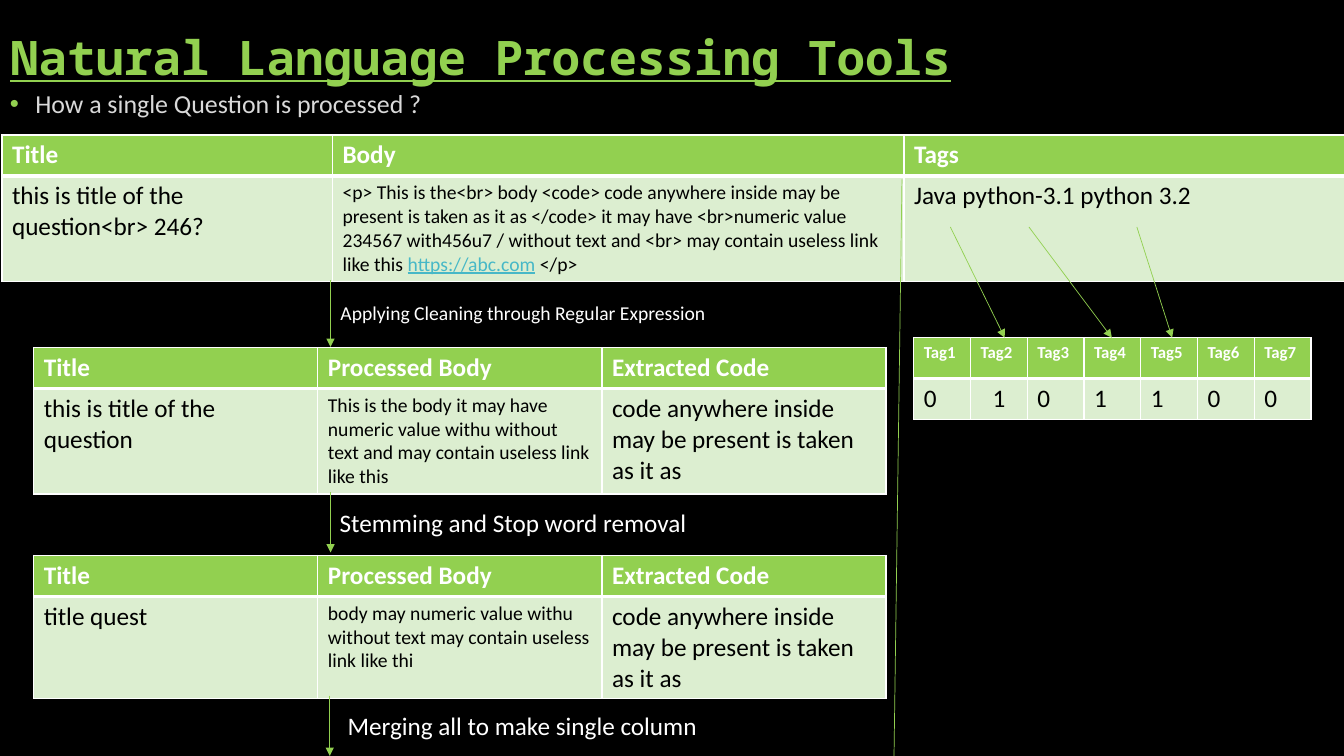
from lxml.etree import SubElement
from pptx import Presentation
from pptx.dml.color import RGBColor
from pptx.enum.shapes import MSO_CONNECTOR
from pptx.enum.text import MSO_ANCHOR, PP_ALIGN
from pptx.oxml.ns import qn
from pptx.util import Cm, Pt

COLORS = {"back": "000000", "green": "92D050", "pale": "DCEED0", "white": "FFFFFF",
          "black": "000000", "subtitle": "D9D9D9", "address": "47B8C7"}


def add_run(paragraph, text, size, color, font="Calibri", bold=False, underline=False):
    run = paragraph.add_run()
    run.text = text
    formats = {"size": Pt(size), "name": font, "bold": bold, "underline": underline}
    for attribute, value in formats.items():
        setattr(run.font, attribute, value)
    run.font.color.rgb = RGBColor.from_string(COLORS[color])


def set_borders(cell, bottom_width):
    """Draw white cell borders; they must come before the fill in the XML."""
    properties = cell._tc.get_or_add_tcPr()
    for side, width in (("L", 1), ("R", 1), ("T", 1), ("B", bottom_width)):
        border = SubElement(properties, qn(f"a:ln{side}"), w=str(Pt(width)))
        fill = SubElement(border, qn("a:solidFill"))
        SubElement(fill, qn("a:srgbClr"), val=COLORS["white"])


prs = Presentation()
prs.slide_width, prs.slide_height = Cm(33.87), Cm(19.05)
slide = prs.slides.add_slide(prs.slide_layouts[5])
slide.background.fill.solid()
slide.background.fill.fore_color.rgb = RGBColor.from_string(COLORS["back"])

# Heading
title = slide.shapes.title
title.left, title.top, title.width, title.height = Cm(0), Cm(0.1), Cm(25.4), Cm(2.18)
title.text_frame.vertical_anchor = MSO_ANCHOR.BOTTOM
heading = title.text_frame.paragraphs[0]
heading.alignment = PP_ALIGN.LEFT
heading.line_spacing = 0.9
add_run(heading, "Natural Language Processing Tools", 34, "green", "Noto Sans Mono", True, True)

# Tables: left, top, column widths, row heights, header size, header, body cells (text, size)
processed_header = ["Title", "Processed Body", "Extracted Code"]
extracted_code = ("code anywhere inside may be present is taken as it as", 18)
address = "https://abc.com"
question_body = ("<p> This is the<br> body <code> code anywhere inside may be present is taken "
                 "as it as </code> it may have <br>numeric value 234567 with456u7 / without text "
                 f"and <br> may contain useless link like this {address} </p>")
tables = [
    (0.05, 3.4, [8.33, 14.4, 11.13], [1.03, 2.62], 18, ["Title", "Body", "Tags"],
     [("this is title of the question<br> 246?", 18), (question_body, 14),
      ("Java python-3.1 python 3.2", 18)]),
    (0.85, 8.76, [7.16] * 3, [1.03, 2.62], 18, processed_header,
     [("this is title of the question", 18),
      ("This is the body it may have numeric value withu without text and may contain "
       "useless link like this", 14), extracted_code]),
    (0.85, 14, [7.16] * 3, [1.03, 2.55], 18, processed_header,
     [("title quest", 18),
      ("body may numeric value withu without text may contain useless link like thi", 14),
      extracted_code]),
    (23.03, 8.51, [1.43] * 7, [1.03, 1.03], 12, [f"Tag{n}" for n in range(1, 8)],
     [(digit, 18) for digit in "0101100"]),
]
for left, top, widths, heights, header_size, header, body in tables:
    grid = slide.shapes.add_table(2, len(widths), Cm(left), Cm(top),
                                  Cm(sum(widths)), Cm(sum(heights))).table
    for row, height in zip(grid.rows, heights):
        row.height = Cm(height)
    for index, width in enumerate(widths):
        grid.columns[index].width = Cm(width)
        text, size = body[index]
        before, link, after = text.partition(address)
        contents = [
            ("green", 3, [(header[index], header_size, "white", "Calibri", True)]),
            ("pale", 1, [(before, size, "black"),
                         (link, size, "address", "Calibri", False, True),
                         (after, size, "black")]),
        ]
        for row_index, (fill, bottom_width, runs) in enumerate(contents):
            cell = grid.cell(row_index, index)
            set_borders(cell, bottom_width)
            cell.fill.solid()
            cell.fill.fore_color.rgb = RGBColor.from_string(COLORS[fill])
            for run in runs:
                if run[0]:
                    add_run(cell.text_frame.paragraphs[0], *run)
# The last table holds the tags; its Tag2 value is centred
grid.cell(1, 1).text_frame.paragraphs[0].alignment = PP_ALIGN.CENTER

# Subtitle and step captions: left, top, width, height, text, size, colour
captions = [
    (0, 2.18, 12, 1.22, "How a single Question is processed ?", 18.5, "subtitle"),
    (8.33, 7.47, 10.72, 0.86, "Applying Cleaning through Regular Expression", 14, "white"),
    (8.31, 12.65, 9.73, 1.02, "Stemming and Stop word removal", 18, "white"),
    (8.51, 17.78, 9.73, 1.02, "Merging all to make single column", 18, "white"),
]
for left, top, width, height, text, size, color in captions:
    frame = slide.shapes.add_textbox(Cm(left), Cm(top), Cm(width), Cm(height)).text_frame
    frame.word_wrap = True
    paragraph = frame.paragraphs[0]
    add_run(paragraph, text, size, color)
    if color == "subtitle":
        paragraph.line_spacing = 0.9
        bullet = paragraph._p.get_or_add_pPr()
        bullet.set("marL", str(Cm(0.64)))
        bullet.set("indent", str(Cm(-0.64)))
        bullet_color = SubElement(bullet, qn("a:buClr"))
        SubElement(bullet_color, qn("a:srgbClr"), val=COLORS["green"])
        SubElement(bullet, qn("a:buFont"), typeface="Arial")
        SubElement(bullet, qn("a:buChar"), char="•")

# Divider, step arrows and tag arrows: x1, y1, x2, y2, arrowhead
lines = [
    (22.73, 4.52, 22.53, 19.05, False),
    (8.33, 7.06, 8.33, 8.74, True),
    (8.33, 12.4, 8.33, 13.92, True),
    (8.31, 17.53, 8.31, 19.05, True),
    (23.95, 5.72, 25.32, 8.51, True),
    (25.93, 5.72, 28.02, 8.51, True),
    (28.65, 5.72, 29.54, 8.51, True),
]
for x1, y1, x2, y2, has_head in lines:
    line = slide.shapes.add_connector(MSO_CONNECTOR.STRAIGHT, Cm(x1), Cm(y1), Cm(x2), Cm(y2))
    line.line.color.rgb = RGBColor.from_string(COLORS["green"])
    line.line.width = Pt(0.5)
    if has_head:
        SubElement(line.line._get_or_add_ln(), qn("a:tailEnd"), type="triangle")
    SubElement(line._element.spPr, qn("a:effectLst"))

prs.save("out.pptx")
